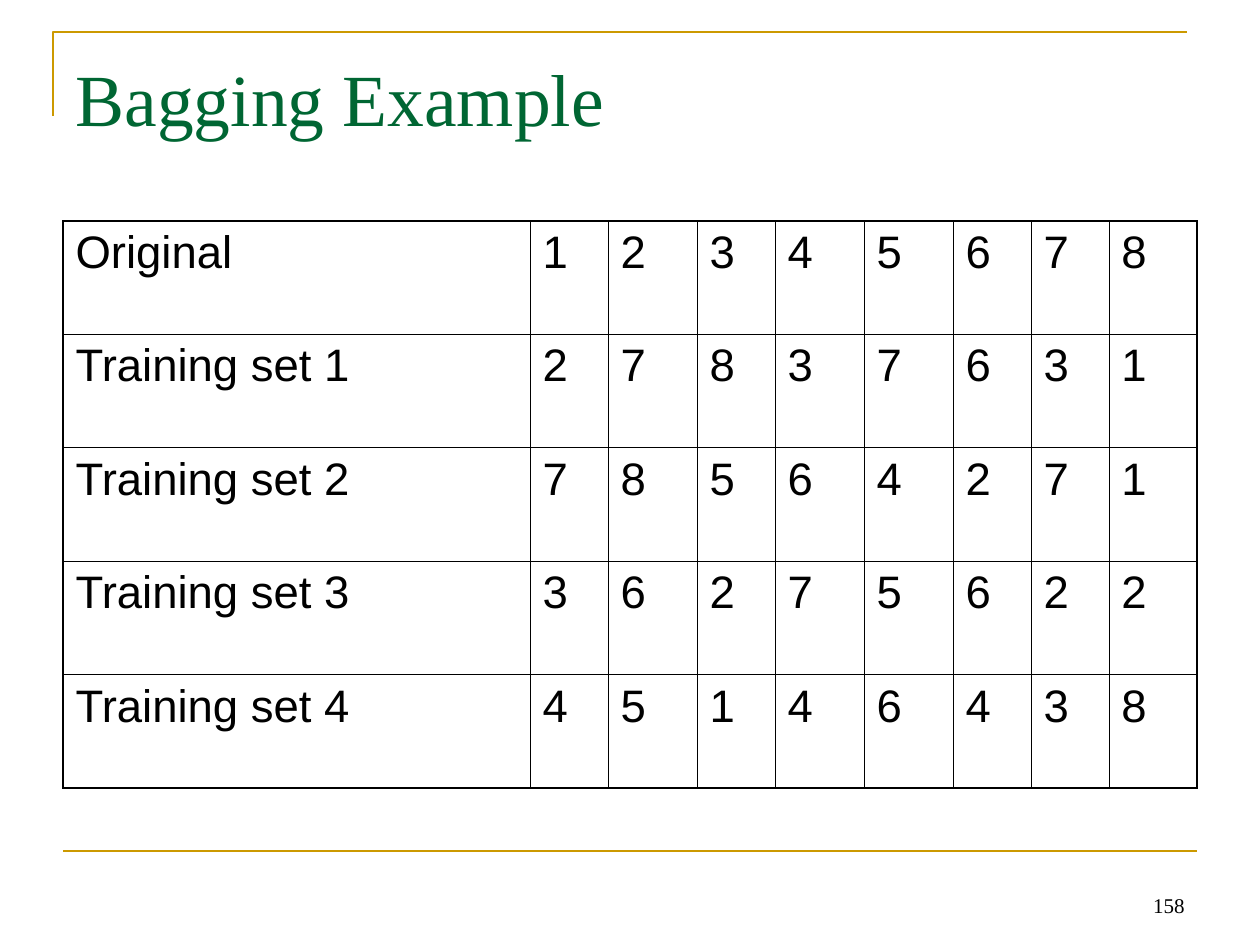
import dataclasses

import lxml.etree
import pptx
import pptx.dml.color
import pptx.enum.shapes
import pptx.enum.text
import pptx.oxml.ns
import pptx.util


@dataclasses.dataclass(frozen=True)
class Theme:
    title_color: str = "006633"
    text_color: str = "000000"
    rule_color: str = "CC9900"
    serif: str = "Times New Roman"
    sans: str = "Arial"
    title_size: int = 42
    cell_size: int = 26
    number_size: int = 12
    rule_width: float = 1.5
    outer_border: float = 1.08
    inner_border: float = 0.45


THEME = Theme()
EMU_PER_PX = 914400 / 126


def px(length):
    return pptx.util.Emu(round(length * EMU_PER_PX))


def add_run(paragraph, wording, font, size, color):
    run = paragraph.add_run()
    run.text = wording
    run.font.name = font
    run.font.size = pptx.util.Pt(size)
    run.font.color.rgb = pptx.dml.color.RGBColor.from_string(color)


deck = pptx.Presentation()
deck.slide_width = px(1260)
deck.slide_height = px(945)
slide = deck.slides.add_slide(deck.slide_layouts[5])
rule_rgb = pptx.dml.color.RGBColor.from_string(THEME.rule_color)

# Corner rule above the title and straight rule above the footer
corner_builder = slide.shapes.build_freeform(px(53), px(116))
corner_builder.add_line_segments([(px(53), px(32)), (px(1187), px(32))], close=False)
corner_rule = corner_builder.convert_to_shape()
corner_rule.shadow.inherit = False
corner_rule.fill.background()

footer_rule = slide.shapes.add_connector(
    pptx.enum.shapes.MSO_CONNECTOR.STRAIGHT, px(63), px(851), px(1197), px(851))
lxml.etree.SubElement(footer_rule._element.spPr, pptx.oxml.ns.qn("a:effectLst"))

for rule in (corner_rule, footer_rule):
    rule.line.color.rgb = rule_rgb
    rule.line.width = pptx.util.Pt(THEME.rule_width)

page_number = slide.shapes.add_textbox(px(903), px(861), px(294), px(63)).text_frame
page_number.word_wrap = True
page_number.vertical_anchor = pptx.enum.text.MSO_ANCHOR.BOTTOM
page_number.paragraphs[0].alignment = pptx.enum.text.PP_ALIGN.RIGHT
add_run(page_number.paragraphs[0], "158", THEME.serif, THEME.number_size, THEME.text_color)

title = slide.shapes.title
title.left, title.top, title.width, title.height = px(63), px(38), px(1134), px(131)
heading = title.text_frame
heading.auto_size = pptx.enum.text.MSO_AUTO_SIZE.NONE
heading.vertical_anchor = pptx.enum.text.MSO_ANCHOR.TOP
heading.margin_top = px(15)
heading.paragraphs[0].alignment = pptx.enum.text.PP_ALIGN.LEFT
add_run(heading.paragraphs[0], "Bagging Example", THEME.serif, THEME.title_size, THEME.title_color)

# Examples drawn for each training set
samples = [
    ("Original", "12345678"),
    ("Training set 1", "27837631"),
    ("Training set 2", "78564271"),
    ("Training set 3", "36275622"),
    ("Training set 4", "45146438"),
]
column_widths = [467, 78, 89, 78, 89, 89, 78, 78, 88]
table_height = px(567)
last_row, last_column = len(samples) - 1, len(column_widths) - 1

sample_table = slide.shapes.add_table(
    len(samples), len(column_widths), px(63), px(221), px(sum(column_widths)), table_height).table
sample_table.first_row = False
sample_table.horz_banding = False
for column, width in zip(sample_table.columns, column_widths):
    column.width = px(width)

for row_index, (label, draws) in enumerate(samples):
    sample_table.rows[row_index].height = pptx.util.Emu(table_height // len(samples))
    for column_index, wording in enumerate([label, *draws]):
        cell = sample_table.cell(row_index, column_index)
        cell.fill.background()
        paragraph = cell.text_frame.paragraphs[0]
        paragraph.space_before = pptx.util.Pt(6.5)
        add_run(paragraph, wording, THEME.sans, THEME.cell_size, THEME.text_color)

        on_outside = {
            "a:lnL": column_index == 0,
            "a:lnR": column_index == last_column,
            "a:lnT": row_index == 0,
            "a:lnB": row_index == last_row,
        }
        cell_properties = cell._tc.get_or_add_tcPr()
        for position, (side, outside) in enumerate(on_outside.items()):
            border_width = THEME.outer_border if outside else THEME.inner_border
            border = lxml.etree.Element(
                pptx.oxml.ns.qn(side), w=str(pptx.util.Pt(border_width)))
            border_fill = lxml.etree.SubElement(border, pptx.oxml.ns.qn("a:solidFill"))
            lxml.etree.SubElement(
                border_fill, pptx.oxml.ns.qn("a:srgbClr"), val=THEME.text_color)
            cell_properties.insert(position, border)

deck.save("out.pptx")
